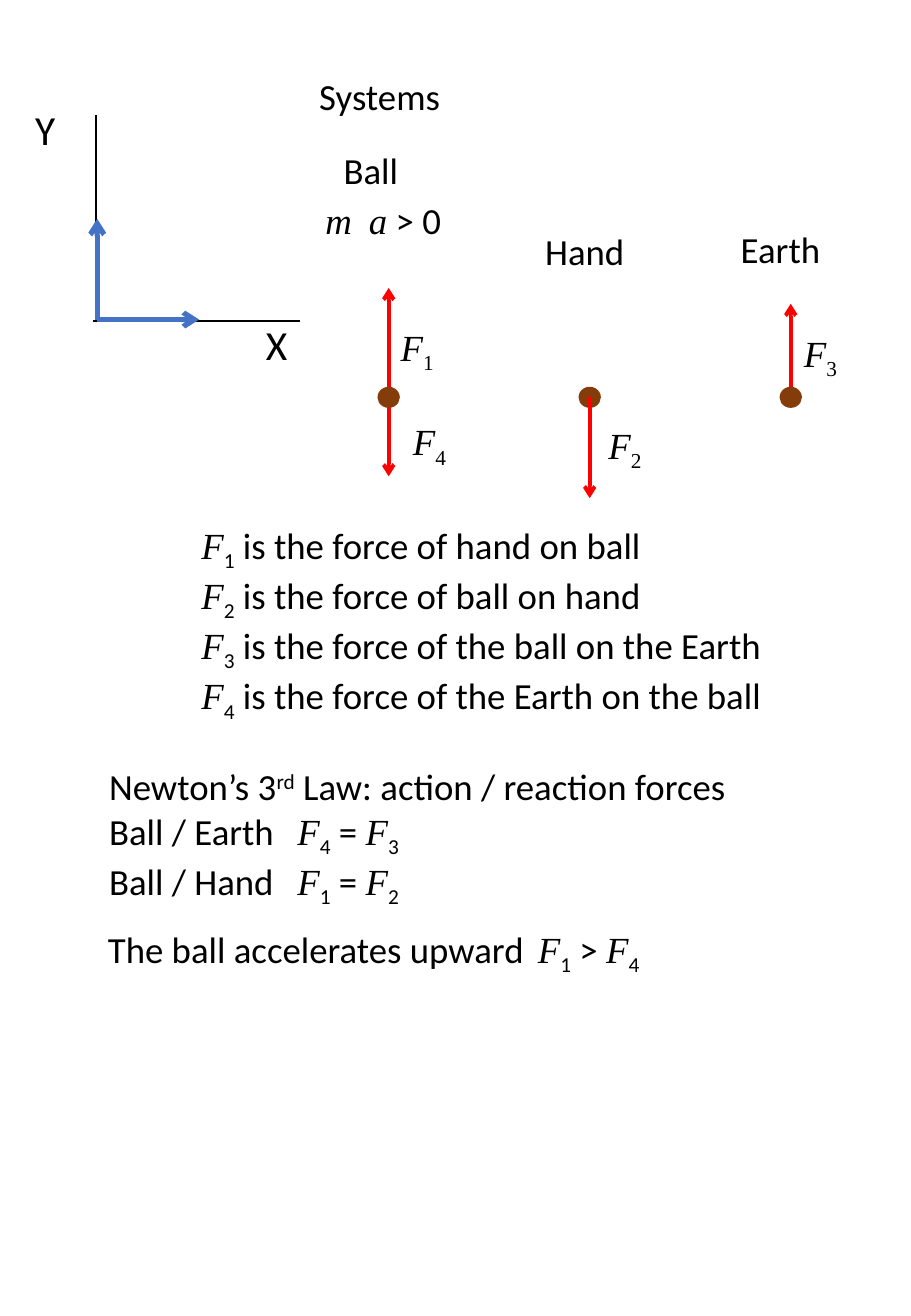
from dataclasses import dataclass

from pptx import Presentation
from pptx import util as u
from pptx.dml.color import RGBColor
from pptx.enum import shapes as kinds, text as t
from pptx.oxml.ns import qn
from lxml import etree


@dataclass(frozen=True)
class Theme:
    ink: str = "000000"
    axis: str = "4472C4"
    force: str = "FF0000"
    body: str = "843C0B"
    body_size: float = 21.8
    axis_size: float = 24.5
    sans: str = "Calibri"
    serif: str = "Times New Roman"


THEME = Theme()

# Run style: font, italic, baseline shift in thousandths of a percent
STYLES = {
    "plain": (THEME.sans, False, 0),
    "symbol": (THEME.serif, True, 0),
    "sub": (THEME.sans, False, -25000),
    "serif sub": (THEME.serif, False, -25000),
    "super": (THEME.sans, False, 30000),
}

CELL = 0.1  # inches; every length below counts grid cells
COLUMNS, ROWS = 75, 108.3
FIRST_BODY, BODY_STEP, BODY_ROW = 32, 16.55, 32.7
BALL, HAND, EARTH = (FIRST_BODY + BODY_STEP * i for i in range(3))


def cells(*counts):
    return [u.Inches(round(count * CELL, 3)) for count in counts]


def plain(words):
    return [(words, "plain")]


def force(number, subscript="sub"):
    return [("F", "symbol"), (str(number), subscript)]


def add_text(shapes, place, lines, size=THEME.body_size, tab=None):
    """Place lines of (words, style) runs; tab is a stop in cells."""
    frame = shapes.add_textbox(*cells(*place)).text_frame
    frame.word_wrap = False
    frame.auto_size = t.MSO_AUTO_SIZE.SHAPE_TO_FIT_TEXT
    for index, line in enumerate(lines):
        paragraph = frame.add_paragraph() if index else frame.paragraphs[0]
        if tab:
            stops = etree.SubElement(paragraph._p.get_or_add_pPr(), qn("a:tabLst"))
            etree.SubElement(stops, qn("a:tab"), pos=str(cells(tab)[0]), algn="l")
        for words, style in line:
            run = paragraph.add_run()
            run.text = words
            run.font.name, run.font.italic, shift = STYLES[style]
            run.font.size = u.Pt(size)
            run.font.color.rgb = RGBColor.from_string(THEME.ink)
            if shift:
                run._r.get_or_add_rPr().set("baseline", str(shift))


def add_line(shapes, start, end, color, width, *arrowheads):
    """Draw a line; arrowheads names its pointed ends, headEnd being the start."""
    line = shapes.add_connector(kinds.MSO_CONNECTOR.STRAIGHT, *cells(*start, *end))
    line.line.color.rgb = RGBColor.from_string(color)
    line.line.width = u.Pt(width)
    for end_name in arrowheads:
        etree.SubElement(line.line._get_or_add_ln(), qn(f"a:{end_name}"), type="arrow")
    etree.SubElement(line._element.spPr, qn("a:effectLst"))


def add_force(shapes, column, top, bottom, *arrowheads):
    add_line(shapes, (column, top), (column, bottom), THEME.force, 2.25, *arrowheads)


def add_body(shapes, column, width=1.7, height=1.6):
    dot = shapes.add_shape(
        kinds.MSO_SHAPE.OVAL,
        *cells(column - width / 2, BODY_ROW - height / 2, width, height))
    dot.shadow.inherit = False
    dot.fill.solid()
    dot.fill.fore_color.rgb = dot.line.color.rgb = RGBColor.from_string(THEME.body)
    dot.line.width = u.Pt(1)


def add_axes(shapes):
    axes = shapes.add_group_shape().shapes
    origin = (8, 26.3)
    add_line(axes, (7.9, 9.5), (7.9, 26.5), THEME.ink, 1.5)
    add_line(axes, (7.7, 26.4), (24.7, 26.4), THEME.ink, 1.5)
    for tip in ((16.4, 26.3), (8, 18)):
        add_line(axes, origin, tip, THEME.axis, 3, "tailEnd")
    for name, left, top in (("Y", 1.9, 8.1), ("X", 20.9, 25.8)):
        add_text(axes, (left, top, 3.8, 5.1), [plain(name)], THEME.axis_size)


def add_force_diagram(shapes):
    add_force(shapes, BALL, 23.7, 39.2, "headEnd", "tailEnd")
    add_force(shapes, EARTH, 25, 33.2, "headEnd")
    for column in (BALL, HAND, EARTH):
        add_body(shapes, column)
    add_force(shapes, HAND, BODY_ROW, 41, "tailEnd")

    for name, left, top, width in (
            ("Systems", 25.3, 5.6, 12), ("Ball", 27.3, 11.7, 6.5),
            ("Hand", 43.9, 18.3, 8.6), ("Earth", 60, 18.2, 8.6)):
        add_text(shapes, (left, top, width, 4.7), [plain(name)])
    add_text(shapes, (25.8, 15.8, 11.6, 4.7),
             [[("m\ta", "symbol"), (" > 0", "plain")]], tab=3.6)
    for number, left, top in (
            (1, 32, 26.2), (4, 33, 34), (2, 49.1, 34.3), (3, 65.2, 26.7)):
        add_text(shapes, (left, top, 4.9, 4.7), [force(number, "serif sub")])


def add_explanations(shapes):
    meanings = ("hand on ball", "ball on hand",
                "the ball on the Earth", "the Earth on the ball")
    add_text(shapes, (15.6, 42.5, 48.6, 15.7),
             [force(number) + plain(f" is the force of {meaning}")
              for number, meaning in enumerate(meanings, 1)])

    law = plain("Newton’s 3") + [("rd", "super")] + plain(
        " Law: action / reaction forces")
    pairs = [plain(f"Ball / {partner}\t") + force(action) + plain(" = ") + force(reaction)
             for partner, action, reaction in (("Earth", 4, 3), ("Hand", 1, 2))]
    add_text(shapes, (8, 62.4, 53.4, 12), [law] + pairs, tab=15.5)

    conclusion = (plain("The ball accelerates upward\t")
                  + force(1) + plain(" > ") + force(4))
    add_text(shapes, (7.9, 75.8, 46.6, 4.7), [conclusion], tab=35.4)


def main():
    deck = Presentation()
    deck.slide_width, deck.slide_height = cells(COLUMNS, ROWS)
    shapes = deck.slides.add_slide(deck.slide_layouts[6]).shapes
    add_axes(shapes)
    add_force_diagram(shapes)
    add_explanations(shapes)
    deck.save("out.pptx")


if __name__ == "__main__":
    main()
